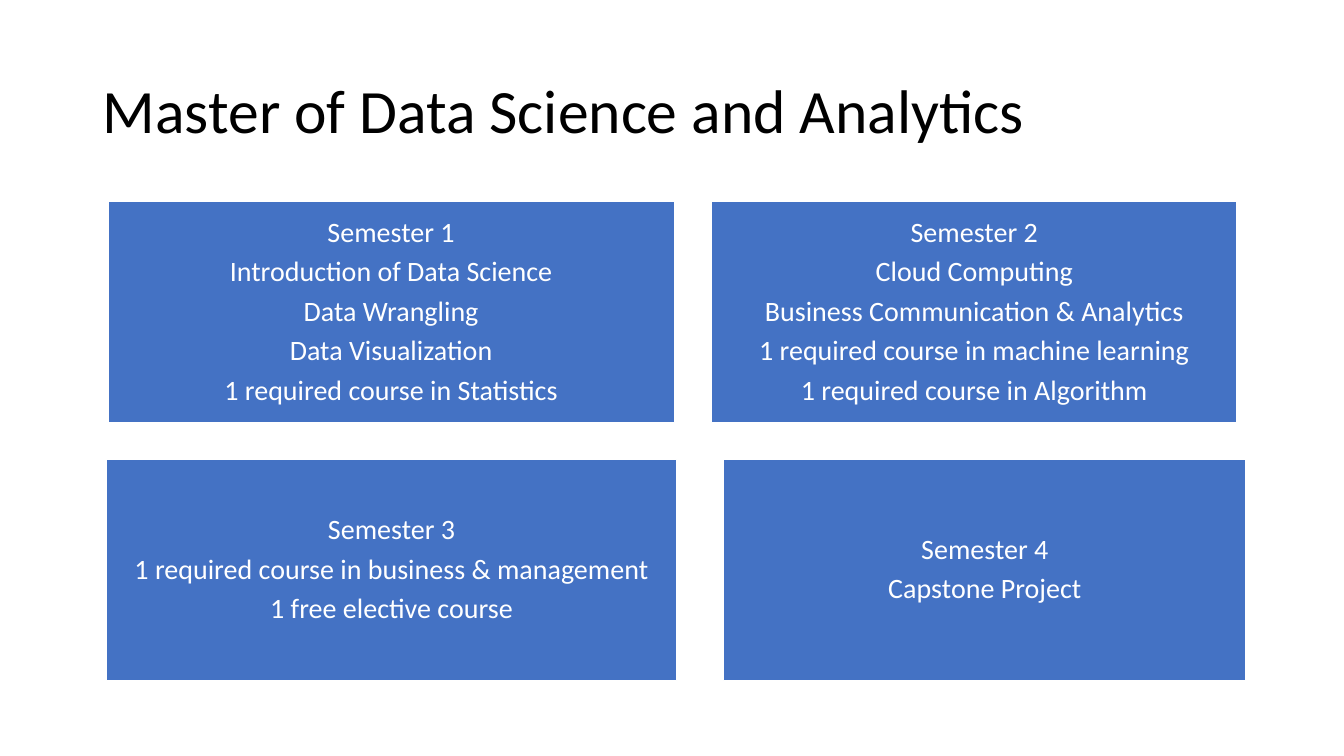
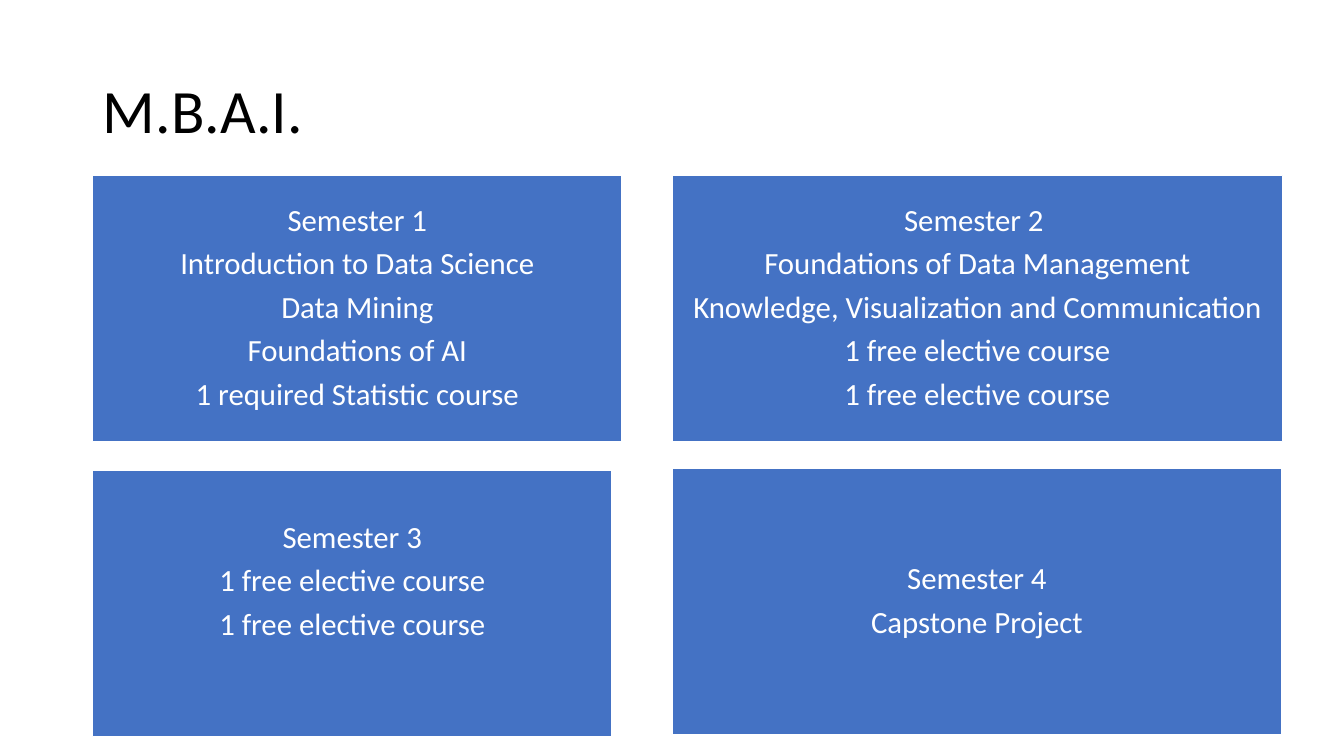
from dataclasses import dataclass

from pptx import Presentation
from pptx.dml.color import RGBColor
from pptx.enum.shapes import MSO_SHAPE as Shape
from pptx.enum.text import MSO_ANCHOR as Anchor
from pptx.enum.text import MSO_AUTO_SIZE as AutoSize
from pptx.enum.text import PP_ALIGN as Align
from pptx.util import Inches, Pt

SLIDE_WIDTH, SLIDE_HEIGHT = Inches(13.333), Inches(7.5)
BLACK = RGBColor(0x00, 0x00, 0x00)
WHITE = RGBColor(0xFF, 0xFF, 0xFF)
BLUE = RGBColor(0x44, 0x72, 0xC4)
FONT = "Calibri"
TITLE_SIZE = 44
TITLE_PLACE = (6.9, 5.33, 86.25, 19.33)
TITLE_ONLY = 5
LINE_SPACING = 0.9
GAP_PER_SIZE = 0.33


@dataclass
class Semester:
    left: float
    top: float
    width: float
    lines: list
    lift: float = 0


@dataclass
class Program:
    title: str
    text_size: int
    inset: float
    box_height: float
    semesters: list


PROGRAMS = [
    Program("Master of Data Science and Analytics", 20, 0.08, 29.2, [
        Semester(8.03, 26.67, 42.15, [
            "Semester 1",
            "Introduction of Data Science",
            "Data Wrangling",
            "Data Visualization",
            "1 required course in Statistics",
        ]),
        Semester(52.95, 26.67, 39.08, [
            "Semester 2",
            "Cloud Computing",
            "Business Communication & Analytics",
            "1 required course in machine learning",
            "1 required course in Algorithm",
        ]),
        Semester(7.95, 60.8, 42.38, [
            "Semester 3",
            "1 required course in business & management",
            "1 free elective course",
        ]),
        Semester(53.85, 60.8, 38.85, ["Semester 4", "Capstone Project"]),
    ]),
    Program("M.B.A.I.", 22, 0.09, 35.2, [
        Semester(6.9, 23.2, 39.38, [
            "Semester 1",
            "Introduction to Data Science",
            "Data Mining",
            "Foundations of AI",
            "1 required Statistic course",
        ]),
        Semester(50, 23.2, 45.45, [
            "Semester 2 ",
            "Foundations of Data Management",
            "Knowledge, Visualization and Communication",
            "1 free elective course",
            "1 free elective course",
        ]),
        Semester(6.9, 62.27, 38.63, [
            "Semester 3",
            "1 free elective course",
            "1 free elective course",
        ], lift=0.44),
        Semester(50, 62, 45.38, ["Semester 4", "Capstone Project"]),
    ]),
]


def place(left, top, width, height):
    return (
        round(SLIDE_WIDTH * left / 100),
        round(SLIDE_HEIGHT * top / 100),
        round(SLIDE_WIDTH * width / 100),
        round(SLIDE_HEIGHT * height / 100),
    )


def format_text(frame, size, color, align, gap=0):
    frame.word_wrap = True
    frame.auto_size = AutoSize.NONE
    frame.vertical_anchor = Anchor.MIDDLE
    for para in frame.paragraphs:
        para.alignment = align
        para.line_spacing = LINE_SPACING
        para.space_before = Pt(0)
        para.space_after = Pt(gap)
        for span in para.runs:
            span.font.name = FONT
            span.font.size = Pt(size)
            span.font.color.rgb = color


def set_title(page, text):
    title = page.shapes.title
    title.left, title.top, title.width, title.height = place(*TITLE_PLACE)
    title.text_frame.text = text
    format_text(title.text_frame, TITLE_SIZE, BLACK, Align.LEFT)


def add_semester(page, program, semester):
    box = page.shapes.add_shape(
        Shape.RECTANGLE,
        *place(semester.left, semester.top, semester.width, program.box_height),
    )
    box.shadow.inherit = False
    box.fill.solid()
    box.fill.fore_color.rgb = BLUE
    box.line.color.rgb = WHITE
    box.line.width = Pt(1)
    frame = box.text_frame
    frame.margin_left = frame.margin_right = frame.margin_top = Inches(program.inset)
    frame.margin_bottom = Inches(program.inset + semester.lift)
    frame.text = "\n".join(semester.lines)
    size = program.text_size
    format_text(frame, size, WHITE, Align.CENTER, size * GAP_PER_SIZE)


def add_program(deck, program):
    page = deck.slides.add_slide(deck.slide_layouts[TITLE_ONLY])
    set_title(page, program.title)
    for semester in program.semesters:
        add_semester(page, program, semester)


def main():
    deck = Presentation()
    deck.slide_width, deck.slide_height = SLIDE_WIDTH, SLIDE_HEIGHT
    for program in PROGRAMS:
        add_program(deck, program)
    deck.save("out.pptx")


main()
